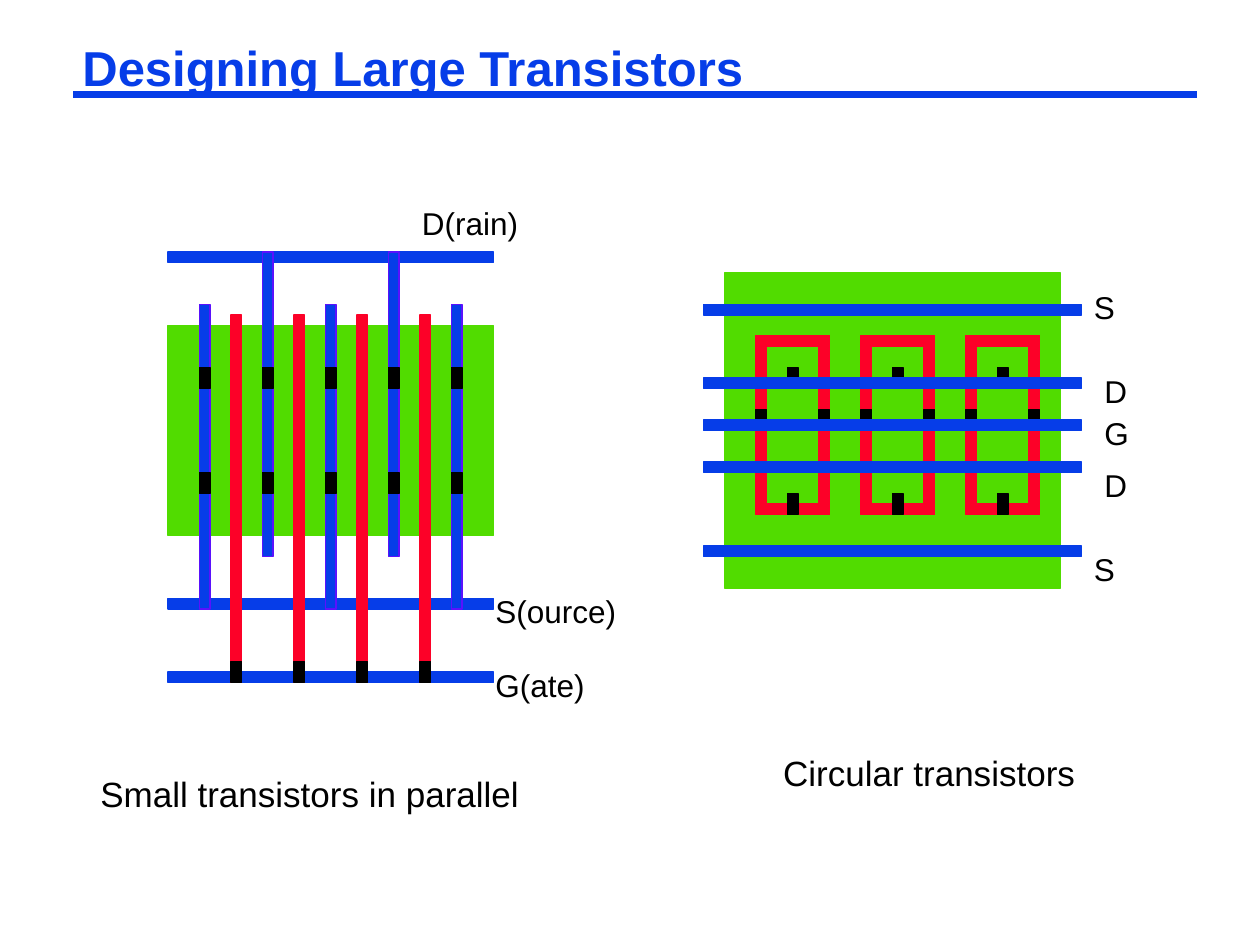
from lxml import etree
from pptx import Presentation
from pptx.dml.color import RGBColor
from pptx.enum.shapes import MSO_CONNECTOR, MSO_SHAPE
from pptx.enum.text import MSO_ANCHOR, MSO_AUTO_SIZE, PP_ALIGN
from pptx.oxml.ns import qn
from pptx.util import Cm, Pt

RECT = MSO_SHAPE.RECTANGLE
STRAIGHT = MSO_CONNECTOR.STRAIGHT
TOP = MSO_ANCHOR.TOP
GROW = MSO_AUTO_SIZE.SHAPE_TO_FIT_TEXT
LEFT, MID = PP_ALIGN.LEFT, PP_ALIGN.CENTER

BLUE = RGBColor(0x06, 0x3D, 0xE8)
VIOLET = RGBColor(0x5A, 0x11, 0xFD)
GREEN = RGBColor(0x51, 0xDC, 0x00)
RED = RGBColor(0xFC, 0x01, 0x28)
BLACK = RGBColor(0x00, 0x00, 0x00)

GRID = 2.54 / 12  # all places are counted in twelfths of an inch
LABEL = {"name": "Arial", "size": Pt(18)}
NOTE = {"name": "Arial", "size": Pt(20)}
TITLE = {"name": "Arial", "size": Pt(28), "bold": True}


def grid(*counts):
    return [Cm(n * GRID) for n in counts]


def style(para, form, color, align, space):
    para.alignment = align
    para.line_spacing = space
    for key, value in form.items():
        setattr(para.font, key, value)
    para.font.color.rgb = color


def block(slide, box, x, y, w, h, fill, edge=None):
    """Add a rectangle at x, y from the corner of box."""
    shape = slide.shapes.add_shape(RECT, *grid(box[0] + x, box[1] + y, w, h))
    shape.shadow.inherit = False
    shape.fill.solid()
    shape.fill.fore_color.rgb = fill
    shape.line.color.rgb = edge or fill
    shape.line.width = Pt(1)


def label(slide, box, x, y, w, text, form=LABEL, align=LEFT):
    height = 6.6 if form is LABEL else 7.2
    area = slide.shapes.add_textbox(*grid(box[0] + x, box[1] + y, w, height))
    frame = area.text_frame
    frame.word_wrap = True
    frame.auto_size = GROW
    frame.text = text
    style(frame.paragraphs[0], form, BLACK, align, 1.5)


def header(slide, box, text):
    """Place the title with a rule along its foot."""
    x, y, w, h = box
    rule = slide.shapes.add_connector(STRAIGHT, *grid(x, y + 5, x + w, y + 5))
    rule.line.color.rgb = BLUE
    rule.line.width = Pt(4.5)
    etree.SubElement(rule._element.spPr, qn("a:effectLst"))
    title = slide.shapes.title
    title.left, title.top, title.width, title.height = grid(x, y, w, h)
    frame = title.text_frame
    frame.text = text
    frame.vertical_anchor = TOP
    frame.auto_size = GROW
    frame.margin_left = frame.margin_right = Cm(0.18)
    frame.margin_top = frame.margin_bottom = Cm(0.08)
    style(frame.paragraphs[0], TITLE, BLUE, LEFT, 0.87)


def fingers(slide, box):
    """Draw four gates side by side between source and drain strips."""
    wide = 31
    strips, gates = range(3, 28, 6), range(6, 25, 6)
    block(slide, box, 0, 7, wide, 20, GREEN)
    for y in (0, 33, 40):
        block(slide, box, 0, y, wide, 1, BLUE)
    for i, x in enumerate(strips):
        block(slide, box, x, 0 if i % 2 else 5, 1, 29, BLUE, VIOLET)
        for y in (11, 21):
            block(slide, box, x, y, 1, 2, BLACK)
    for x in gates:
        block(slide, box, x, 6, 1, 35, RED)
        block(slide, box, x, 39, 1, 2, BLACK)
    label(slide, box, 23, -7, 14, "D(rain)")
    label(slide, box, 30, 30, 15, "S(ource)")
    label(slide, box, 30, 37, 13, "G(ate)")
    label(slide, box, -9, 47, 45, "Small transistors in parallel", NOTE, MID)


def ring(slide, box):
    """Draw one closed gate with its contacts."""
    wide, high = 7, 17
    for x in (0, wide - 1):
        block(slide, box, x, 0, 1, high, RED)
    for y in (0, high - 1):
        block(slide, box, 0, y, wide, 1, RED)
    for x, y in ((0, 7), (wide - 1, 7), (3, 3), (3, 15)):
        block(slide, box, x, y, 1, 2, BLACK)


def rings(slide, box):
    """Draw three closed gates under five metal rails."""
    block(slide, box, 2, 0, 32, 30, GREEN)
    for x in range(5, 26, 10):
        ring(slide, (box[0] + x, box[1] + 6))
    for y in (3, 10, 14, 18, 26):
        block(slide, box, 0, y, 36, 1, BLUE)
    for x, y, text in ((36, -1, "S"), (37, 7, "D"), (37, 11, "G"),
                       (37, 16, "D"), (36, 24, "S")):
        label(slide, box, x, y, 6, text)
    label(slide, box, -1, 43, 45, "Circular transistors", NOTE, MID)


def main():
    deck = Presentation()
    deck.slide_width, deck.slide_height = Cm(25.4), Cm(19.05)
    slide = deck.slides.add_slide(deck.slide_layouts[5])
    header(slide, (7, 4, 107, 5.5), "Designing Large Transistors")
    fingers(slide, (16, 24))
    rings(slide, (67, 26))
    deck.save("out.pptx")


if __name__ == "__main__":
    main()
